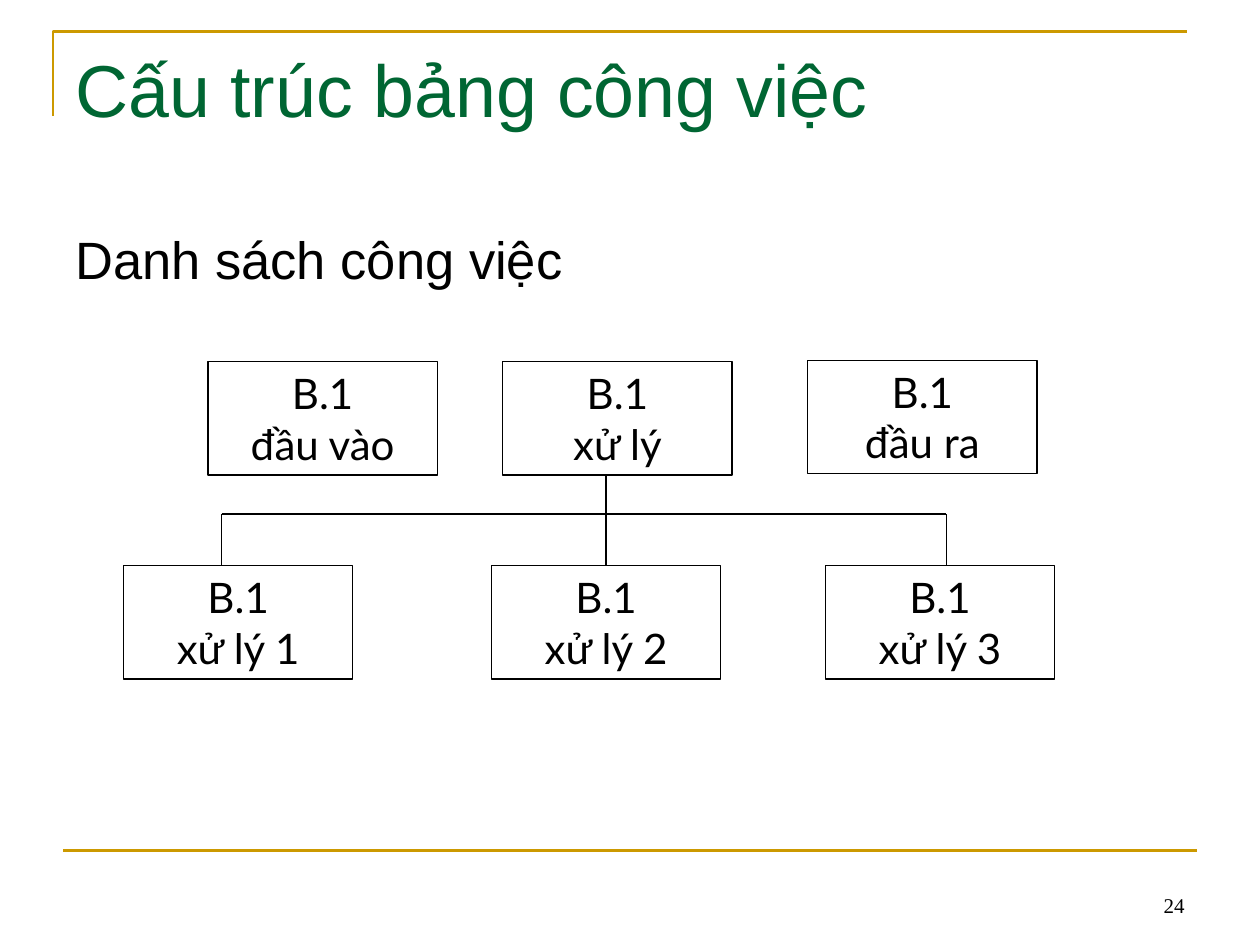
from pptx import Presentation
from pptx.dml.color import RGBColor
from pptx.enum.shapes import MSO_CONNECTOR as CONN, MSO_SHAPE as SHAPE
from pptx.enum.text import MSO_ANCHOR as ANCHOR, PP_ALIGN as ALIGN
from pptx.oxml.ns import qn
from pptx.util import Inches, Pt
from lxml.etree import SubElement

COLORS = {"ink": "000000", "title": "006633", "rule": "CC9900"}


class Deck:
    """Holds the slide and its style, and adds each kind of element."""

    def __init__(self, prs):
        self.s = prs.slides.add_slide(prs.slide_layouts[6])

    def color(self, name):
        return RGBColor.from_string(COLORS[name])

    def outline(self, sp, color, width):
        sp.line.color.rgb = self.color(color)
        sp.line.width = Pt(width)

    def fill_text(self, sp, lines, size, font, color="ink", align=ALIGN.LEFT, anchor=ANCHOR.TOP):
        tf = sp.text_frame
        tf.word_wrap = True
        tf.vertical_anchor = anchor
        tf.text = "\n".join(lines)
        for p in tf.paragraphs:
            p.alignment = align
            p.font.size = Pt(size)
            p.font.name = font
            p.font.color.rgb = self.color(color)

    def text(self, x, y, w, h, text, size, font, **style):
        sp = self.s.shapes.add_textbox(Inches(x), Inches(y), Inches(w), Inches(h))
        self.fill_text(sp, [text], size, font, **style)

    def box(self, x, y, label):
        sp = self.s.shapes.add_shape(SHAPE.RECTANGLE, Inches(x), Inches(y), Inches(1.82), Inches(0.9))
        sp.shadow.inherit = False
        sp.fill.background()
        self.outline(sp, "ink", 0.75)
        self.fill_text(sp, ["B.1", label], 24, "Lato", align=ALIGN.CENTER)
        return sp

    def line(self, x1, y1, x2, y2, color="ink", width=0.75):
        c = self.s.shapes.add_connector(CONN.STRAIGHT, Inches(x1), Inches(y1), Inches(x2), Inches(y2))
        self.outline(c, color, width)
        SubElement(c._element.spPr, qn("a:effectLst"))
        return c

    def corner(self, points):
        start, *rest = [(Inches(x), Inches(y)) for x, y in points]
        builder = self.s.shapes.build_freeform(*start)
        builder.add_line_segments(rest, close=False)
        sp = builder.convert_to_shape()
        sp.shadow.inherit = False
        sp.fill.background()
        self.outline(sp, "rule", 1.5)


def main():
    prs = Presentation()
    prs.slide_width, prs.slide_height = Inches(10), Inches(7.5)
    deck = Deck(prs)

    deck.corner([(0.42, 0.92), (0.42, 0.25), (9.42, 0.25)])
    deck.line(0.5, 6.75, 9.5, 6.75, "rule", 1.5)
    deck.text(0.5, 0.3, 9, 1.25, "Cấu trúc bảng công việc", 42, "Arial", color="title")
    deck.text(0.5, 1.75, 9, 0.69, "Danh sách công việc", 30, "Arial")

    for x, y, label in [(1.65, 2.87, "đầu vào"), (3.99, 2.87, "xử lý"), (6.41, 2.86, "đầu ra")]:
        deck.box(x, y, label)

    child_top, bus_y, left, trunk, right = 4.49, 4.08, 1.76, 4.81, 7.51
    children = [deck.box(x, child_top, f"xử lý {n}") for n, x in enumerate([0.98, 3.9, 6.55], 1)]
    deck.line(trunk, 3.78, trunk, child_top).end_connect(children[1], 0)
    deck.line(left, bus_y, right, bus_y)
    for x in (left, right):
        deck.line(x, bus_y, x, child_top)

    deck.text(7.17, 6.83, 2.33, 0.5, "24", 12, "Times New Roman", align=ALIGN.RIGHT, anchor=ANCHOR.BOTTOM)
    prs.save("out.pptx")


if __name__ == "__main__":
    main()
